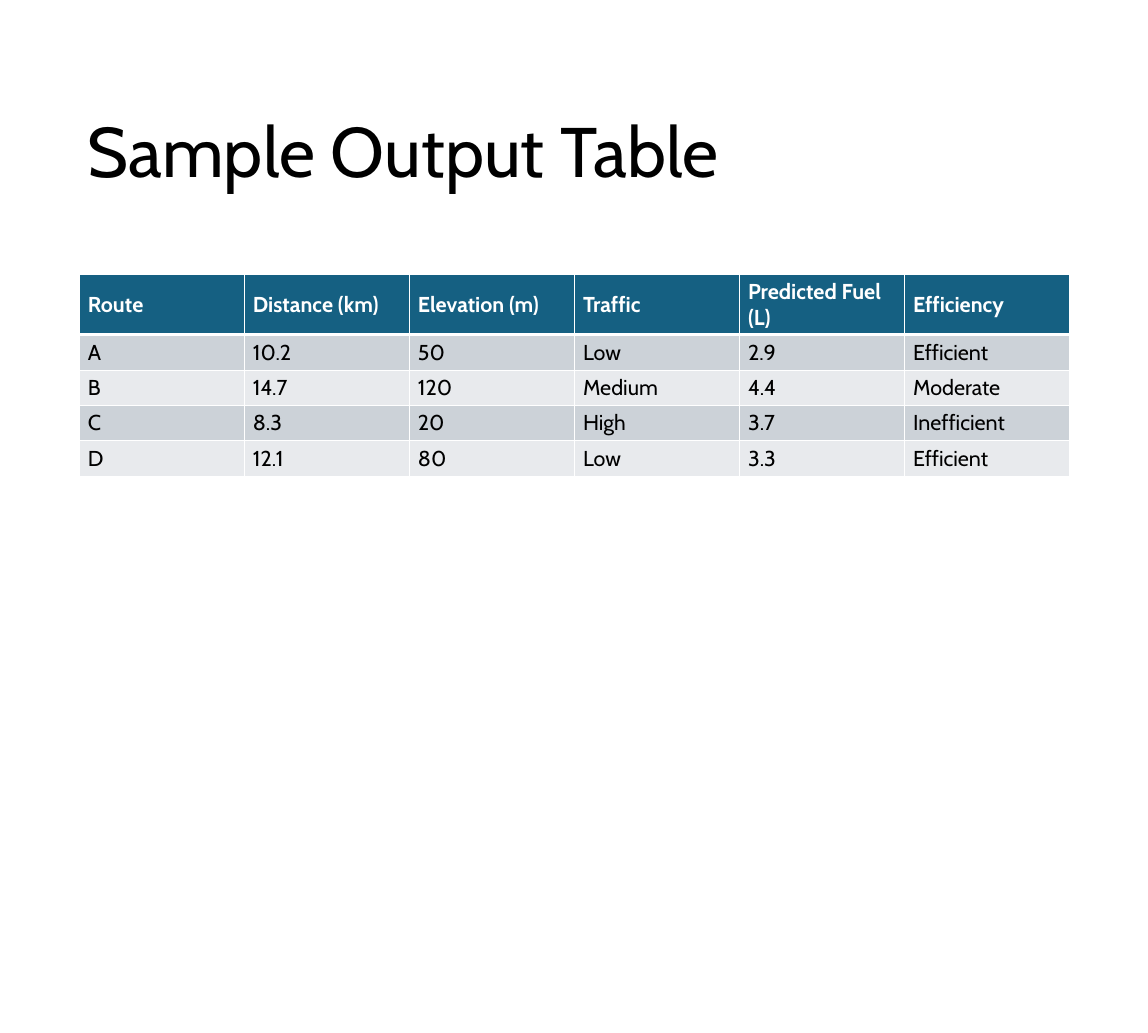
from dataclasses import dataclass

from lxml import etree
from pptx import Presentation
from pptx.dml.color import RGBColor
from pptx.enum.text import MSO_ANCHOR
from pptx.oxml.ns import qn
from pptx.util import Inches, Pt

MIDDLE = MSO_ANCHOR.MIDDLE
FONT = "Cabin"
BLACK, WHITE = "000000", "FFFFFF"
LEFT, WIDTH = 0.92, 11.5
ROW_HEIGHT = 0.41
THIN, THICK = 1, 3

ROUTES = [
    ["Route", "Distance (km)", "Elevation (m)", "Traffic", "Predicted Fuel (L)", "Efficiency"],
    ["A", "10.2", "50", "Low", "2.9", "Efficient"],
    ["B", "14.7", "120", "Medium", "4.4", "Moderate"],
    ["C", "8.3", "20", "High", "3.7", "Inefficient"],
    ["D", "12.1", "80", "Low", "3.3", "Efficient"],
]


@dataclass(frozen=True)
class RowStyle:
    fill: str
    text: str = BLACK
    bold: bool = False
    top: int = THIN
    bottom: int = THIN


HEADER = RowStyle("156082", WHITE, bold=True, bottom=THICK)
FIRST = RowStyle("CCD2D8", top=THICK)
ODD = RowStyle("CCD2D8")
EVEN = RowStyle("E8EAED")
ROW_STYLES = [HEADER, FIRST, EVEN, ODD, EVEN]


def colour(code: str) -> RGBColor:
    return RGBColor.from_string(code)


def add_span(para, text: str, size: float, code: str, bold: bool = False) -> None:
    span = para.add_run()
    span.text = text
    span.font.name = FONT
    span.font.size = Pt(size)
    span.font.bold = bold
    span.font.color.rgb = colour(code)


def add_border(cell, side: str, width: int) -> None:
    properties = cell._tc.get_or_add_tcPr()
    line = etree.SubElement(properties, qn(f"a:ln{side}"), w=str(Pt(width)))
    fill = etree.SubElement(line, qn("a:solidFill"))
    etree.SubElement(fill, qn("a:srgbClr"), val=WHITE)


def fill_cell(cell, text: str, style: RowStyle) -> None:
    # Borders come before the fill in the cell properties
    for side, width in (("L", THIN), ("R", THIN), ("T", style.top), ("B", style.bottom)):
        add_border(cell, side, width)
    cell.fill.solid()
    cell.fill.fore_color.rgb = colour(style.fill)
    cell.vertical_anchor = MIDDLE
    add_span(cell.text_frame.paragraphs[0], text, 18, style.text, style.bold)


def add_title(page, text: str) -> None:
    box = page.shapes.add_textbox(Inches(LEFT), Inches(0.64), Inches(WIDTH), Inches(2.32))
    frame = box.text_frame
    frame.word_wrap = True
    frame.vertical_anchor = MIDDLE
    para = frame.paragraphs[0]
    para.line_spacing = 0.9
    add_span(para, text, 58.7, BLACK)


def add_route_table(page) -> None:
    row_count, column_count = len(ROUTES), len(ROUTES[0])
    table = page.shapes.add_table(
        row_count, column_count, Inches(LEFT), Inches(3.19),
        Inches(WIDTH), Inches(ROW_HEIGHT * row_count),
    ).table
    for row_index, (values, style) in enumerate(zip(ROUTES, ROW_STYLES)):
        for column_index, value in enumerate(values):
            fill_cell(table.cell(row_index, column_index), value, style)


def main() -> None:
    deck = Presentation()
    deck.slide_width, deck.slide_height = Inches(13.33), Inches(12)
    page = deck.slides.add_slide(deck.slide_layouts[6])
    add_title(page, "Sample Output Table")
    add_route_table(page)
    deck.save("out.pptx")


if __name__ == "__main__":
    main()
